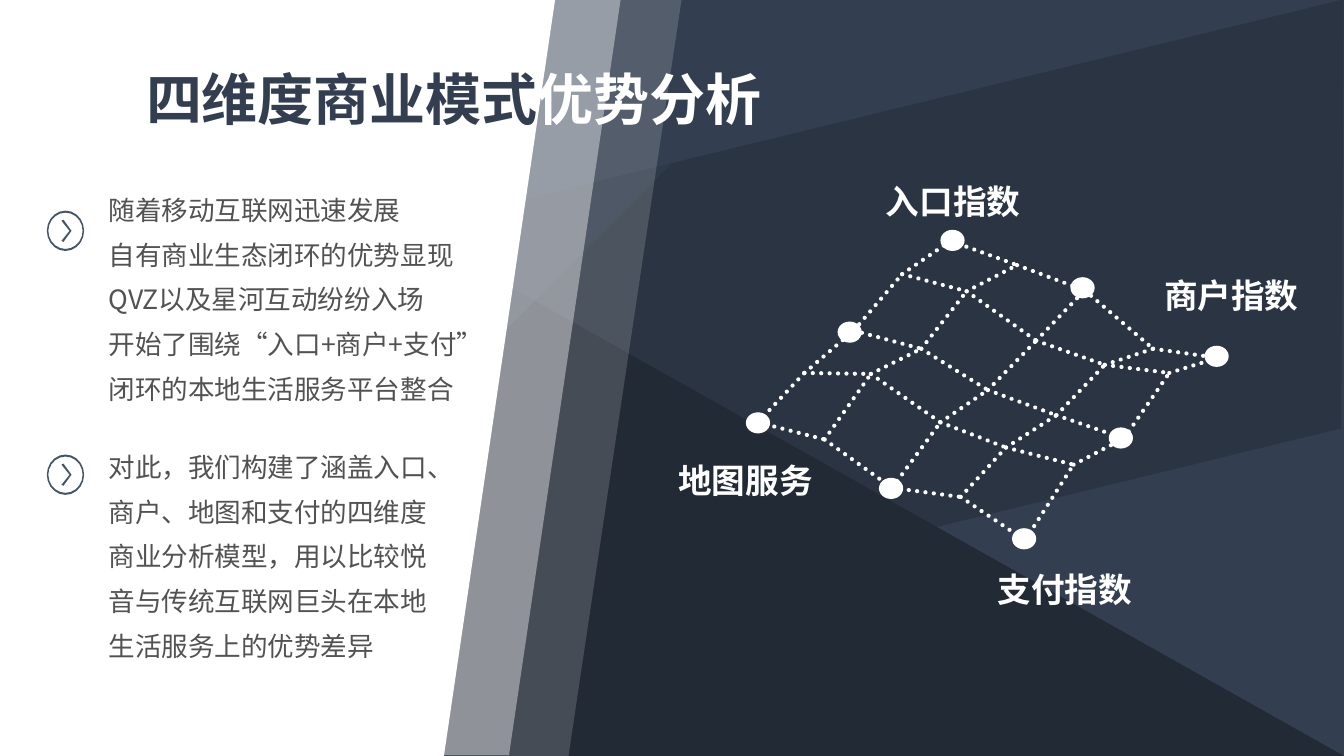
"""Build a slide on a four-dimension business model."""
import math

import pptx
import pptx.util
import pptx.dml.color
import pptx.enum.dml
import pptx.enum.lang
import pptx.enum.shapes
import pptx.enum.text
import pptx.oxml
import pptx.oxml.ns

Inches = pptx.util.Inches
Pt = pptx.util.Pt
KIND = pptx.enum.shapes.MSO_SHAPE
ALIGN = pptx.enum.text.PP_ALIGN
FONT = "Noto Sans CJK SC"
HUES = {"navy": "333F50", "dark": "222A35", "white": "FFFFFF",
        "icon": "44546A", "text": "525252"}

MESH = [
    [(7.52, 4.19), (7.98, 3.7), (8.47, 3.28), (8.95, 2.72), (9.43, 2.39)],
    [(8.18, 4.36), (8.64, 3.71), (9.14, 3.46), (9.59, 2.89), (10.09, 2.63)],
    [(8.85, 4.84), (9.33, 4.19), (9.8, 3.87), (10.28, 3.38), (10.76, 2.88)],
    [(9.53, 4.93), (9.98, 4.44), (10.48, 4.12), (10.96, 3.62), (11.44, 3.46)],
    [(10.17, 5.36), (10.65, 4.61), (11.15, 4.35), (11.6, 3.7), (12.08, 3.55)],
]
DOTS = [(8.72, 4.74), (10.04, 5.24), (11, 4.24), (11.95, 3.43),
        (10.62, 2.75), (9.33, 2.28), (8.31, 3.19), (7.4, 4.09)]
LABELS = [("商户指数", 11.45, 2.68), ("入口指数", 8.69, 1.75),
          ("地图服务", 6.63, 4.51), ("支付指数", 9.8, 5.59)]
TREND = ["随着移动互联网迅速发展", "自有商业生态闭环的优势显现",
         "QVZ以及星河互动纷纷入场", "开始了围绕“入口+商户+支付”",
         "闭环的本地生活服务平台整合"]
MODEL = ("对此，我们构建了涵盖入口、商户、地图和支付的四维度商业分析模型，"
         "用以比较悦音与传统互联网巨头在本地生活服务上的优势差异")


def color(name):
    """Return the named colour."""
    return pptx.dml.color.RGBColor.from_string(HUES[name])


def paint(shape, hue, alpha=100):
    """Give a shape a plain fill with no line or shadow."""
    shape.shadow.inherit = False
    shape.line.fill.background()
    shape.fill.solid()
    shape.fill.fore_color.rgb = color(hue)
    if alpha < 100:
        tint = shape.element.spPr.find(".//" + pptx.oxml.ns.qn("a:srgbClr"))
        tint.append(pptx.oxml.parse_xml(
            f'<a:alpha {pptx.oxml.ns.nsdecls("a")} val="{alpha * 1000}"/>'))


def form(shapes, kind, box, hue, alpha=100, turn=0, adj=None, flip=False):
    """Add a filled preset shape."""
    shape = shapes.add_shape(kind, *map(Inches, box))
    paint(shape, hue, alpha)
    shape.rotation = turn
    if adj is not None:
        shape.adjustments[0] = adj
    if flip:
        shape.element.spPr.find(pptx.oxml.ns.qn("a:xfrm")).set("flipH", "1")


def write(shapes, box, lines, size, bold=False, space=None, align=None,
          grow=True):
    """Add a text box from lines of (text, hue) runs."""
    auto = pptx.enum.text.MSO_AUTO_SIZE
    frame = shapes.add_textbox(*map(Inches, box)).text_frame
    frame.word_wrap = True
    frame.auto_size = auto.SHAPE_TO_FIT_TEXT if grow else auto.NONE
    for rank, line in enumerate(lines):
        para = frame.add_paragraph() if rank else frame.paragraphs[0]
        para.line_spacing = space
        para.alignment = align
        for text, hue in line:
            run = para.add_run()
            run.text = text
            font = run.font
            font.name, font.size, font.bold = FONT, Pt(size), bold
            font.color.rgb = color(hue)
            font.language_id = pptx.enum.lang.MSO_LANGUAGE_ID.SIMPLIFIED_CHINESE
            run._r.get_or_add_rPr().append(pptx.oxml.parse_xml(
                f'<a:ea {pptx.oxml.ns.nsdecls("a")} typeface="{FONT}"/>'))


def link(shapes, start, end):
    """Add a round-dotted white line between two nodes."""
    line = shapes.add_connector(pptx.enum.shapes.MSO_CONNECTOR.STRAIGHT,
                                *map(Inches, start + end))
    line.line.color.rgb = color("white")
    line.line.width = Pt(3)
    line.line.dash_style = pptx.enum.dml.MSO_LINE.ROUND_DOT
    props = line.element.spPr
    props.find(pptx.oxml.ns.qn("a:ln")).set("cap", "rnd")
    props.append(pptx.oxml.parse_xml(
        f'<a:effectLst {pptx.oxml.ns.nsdecls("a")}/>'))


def oval(x, y, wide, high):
    """Return the points of an ellipse around a centre."""
    turns = [math.radians(step * 18) for step in range(20)]
    return [(x + wide * math.cos(t), y + high * math.sin(t)) for t in turns]


def icon(shapes, x, y):
    """Add a ring with a chevron as one outline."""
    tip = [(-0.02, -0.11), (0.06, 0), (-0.02, 0.11),
           (-0.04, 0.1), (0.04, 0), (-0.04, -0.1)]
    paths = [oval(x, y, 0.17, 0.18), oval(x, y, 0.185, 0.2),
             [(x + dx, y + dy) for dx, dy in tip]]
    pen = None
    for path in paths:
        dots = [(Inches(px), Inches(py)) for px, py in path]
        if pen is None:
            pen = shapes.build_freeform(*dots[0])
        else:
            pen.move_to(*dots[0])
        pen.add_line_segments(dots[1:], close=True)
    paint(pen.convert_to_shape(), "icon")


def back(shapes):
    """Add the backdrop and the slanted panels."""
    form(shapes, KIND.ISOSCELES_TRIANGLE, (0, 0, 40 / 3, 7.5), "dark", adj=0)
    form(shapes, KIND.PARALLELOGRAM, (-0.71, 1.68, 14.74, 4.13), "dark",
         50, 346.3)
    form(shapes, KIND.ISOSCELES_TRIANGLE, (1.18, -1.16, 5.41, 11.12), "navy",
         50, 199.1, 1)
    for box, alpha in [((0.16, 0.93, 7.56, 5.65), 16),
                       ((-0.37, 0.96, 7.51, 5.55), 40),
                       ((-1.04, 0.98, 7.55, 5.55), 100)]:
        form(shapes, KIND.FLOWCHART_MANUAL_INPUT, box, "white", alpha, 90,
             flip=True)


def mesh(shapes):
    """Add the dotted mesh, its round nodes and its labels."""
    for chain in MESH + list(zip(*MESH)):
        for start, end in zip(chain, chain[1:]):
            link(shapes, start, end)
    for x, y in DOTS:
        form(shapes, KIND.OVAL, (x, y, 0.24, 0.21), "white")
    for text, x, y in LABELS:
        write(shapes, (x, y, 1.58, 0.5), [[(text, "white")]], 24, True)


def main():
    """Build and save the slide."""
    deck = pptx.Presentation()
    deck.slide_width, deck.slide_height = Inches(40 / 3), Inches(7.5)
    slide = deck.slides.add_slide(deck.slide_layouts[6])
    slide.background.fill.solid()
    slide.background.fill.fore_color.rgb = color("navy")
    shapes = slide.shapes
    back(shapes)
    write(shapes, (1.35, 0.59, 7.01, 0.77),
          [[("四维度商业模式", "navy"), ("优势分析", "white")]], 40, True)
    mesh(shapes.add_group_shape().shapes)
    icon(shapes, 0.65, 2.29)
    write(shapes, (0.98, 1.75, 4.33, 2.52), [[(t, "text")] for t in TREND],
          19, space=1.4, align=ALIGN.JUSTIFY, grow=False)
    icon(shapes, 0.65, 4.71)
    write(shapes, (0.98, 4.3, 3.46, 2.34), [[(MODEL, "text")]], 19, space=1.4)
    deck.save("out.pptx")


main()
